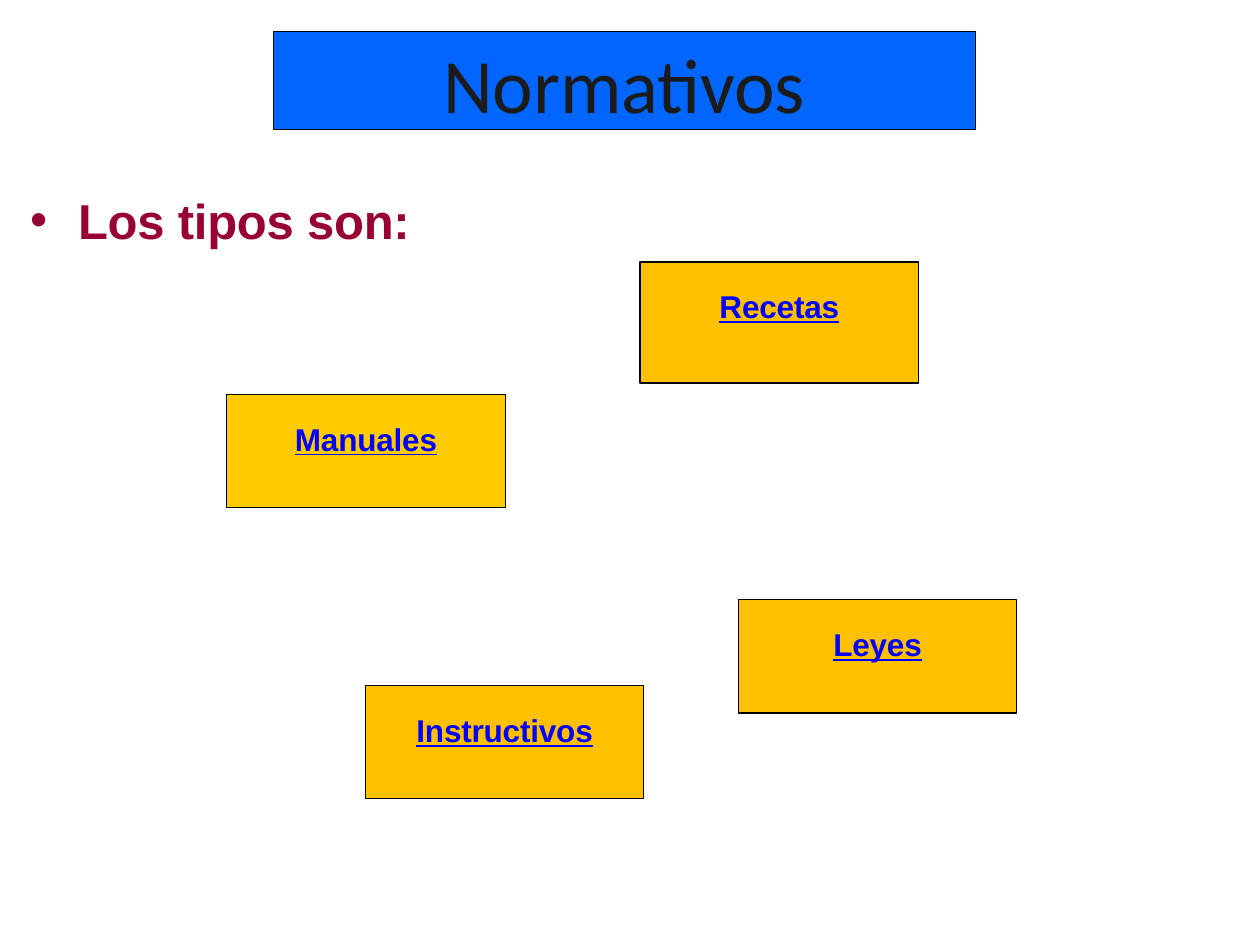
"""Build the slide that lists the kinds of normative text."""
from lxml import etree
from pptx import Presentation, util as u
from pptx.dml.color import RGBColor
from pptx.enum import shapes, text
from pptx.oxml.ns import qn

deck = Presentation()
deck.slide_width, deck.slide_height = u.Inches(10), u.Inches(7.5)
page = deck.slides.add_slide(deck.slide_layouts[6])
COLUMN, ROW = deck.slide_width / 100, deck.slide_height / 75


def paint(target, color):
    target.rgb = RGBColor.from_string(color)


def write(box, words, color, align, frame_format, font_format):
    frame = box.text_frame
    for name, value in frame_format.items():
        setattr(frame, name, value)
    para = frame.paragraphs[0]
    para.alignment = align
    span = para.add_run()
    span.text = words
    for name, value in font_format.items():
        setattr(span.font, name, value)
    paint(span.font.color, color)
    span.font._element.set("spc", "-10")
    return para


def_frame = dict(word_wrap=True, margin_left=0, margin_right=0, margin_bottom=0,
                 vertical_anchor=text.MSO_ANCHOR.TOP)
title_frame = def_frame | dict(margin_top=u.Inches(0.04),
                               vertical_anchor=text.MSO_ANCHOR.MIDDLE)
intro_frame = def_frame | dict(margin_top=u.Inches(0.09))
type_frame = def_frame | dict(margin_top=u.Inches(0.2))
title_font = dict(name="Calibri", size=u.Pt(44), bold=False)
intro_font = dict(name="Arial", size=u.Pt(28), bold=True)
type_font = dict(name="Arial", size=u.Pt(18), bold=True, underline=True)

intro = page.shapes.add_textbox(
    int(2.3 * COLUMN), int(14.2 * ROW), int(94.4 * COLUMN), int(5.6 * ROW))
para = write(intro, "Los tipos son:", "980033", text.PP_ALIGN.JUSTIFY,
             intro_frame, intro_font)
props = para._p.get_or_add_pPr()
props.set("marL", str(u.Inches(0.39)))
props.set("indent", str(u.Inches(-0.38)))
etree.SubElement(props, qn("a:buFont")).set("typeface", "Arial")
etree.SubElement(props, qn("a:buChar")).set("char", "•")

panels = [
    ("Normativos", 21.7, 2.5, 55.7, 7.8, "0066FF", "1B1B1B", title_frame, title_font),
]
panels += [
    (words, left, top, 22.1, height, fill, "0000FF", type_frame, type_font)
    for words, left, top, height, fill in [
        ("Leyes", 58.6, 47.6, 9, "FFC000"),
        ("Manuales", 18, 31.3, 9, "FFCC00"),
        ("Instructivos", 29, 54.4, 9, "FFC000"),
        ("Recetas", 50.8, 20.8, 9.6, "FFC000"),
    ]
]
for words, left, top, width, height, fill, color, frame_format, font_format in panels:
    box = page.shapes.add_shape(
        shapes.MSO_SHAPE.RECTANGLE, int(left * COLUMN), int(top * ROW),
        int(width * COLUMN), int(height * ROW))
    box.shadow.inherit = False
    box.fill.solid()
    paint(box.fill.fore_color, fill)
    paint(box.line.color, "000000")
    box.line.width = u.Pt(0.75)
    write(box, words, color, text.PP_ALIGN.CENTER, frame_format, font_format)

deck.save("out.pptx")
